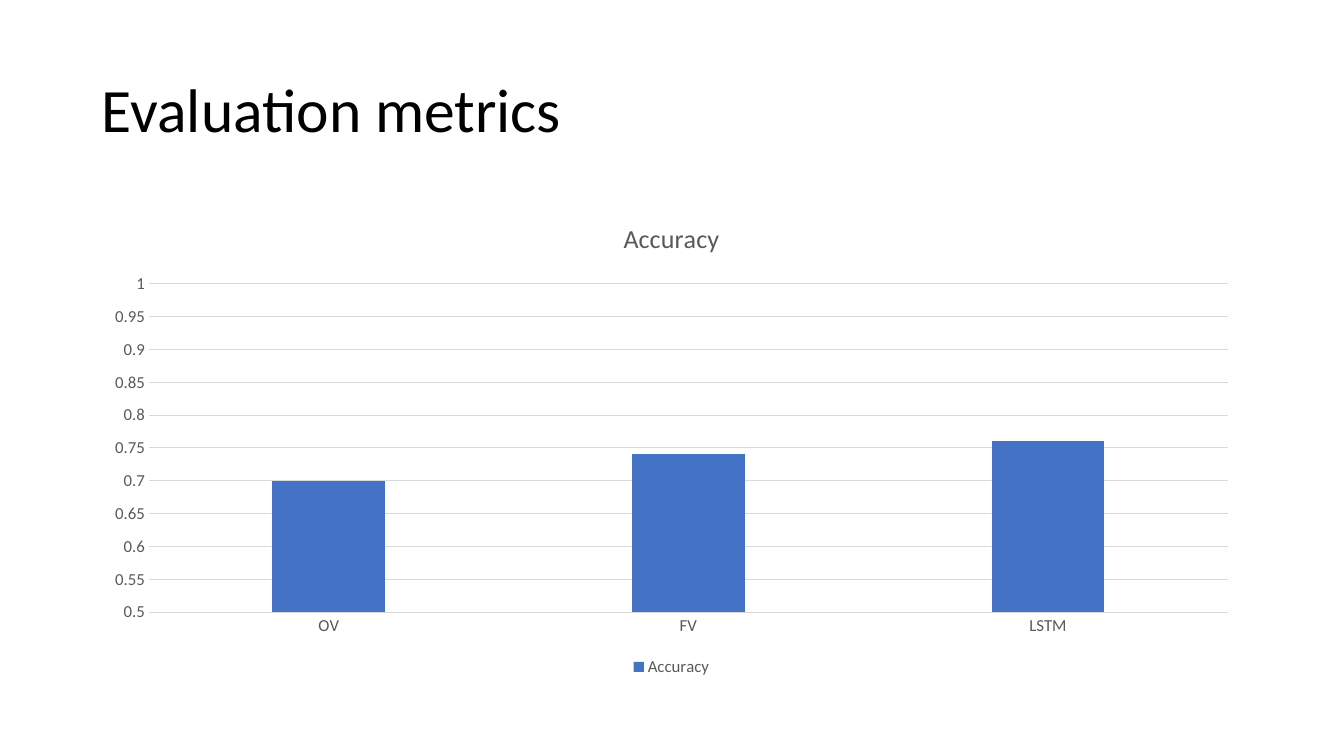
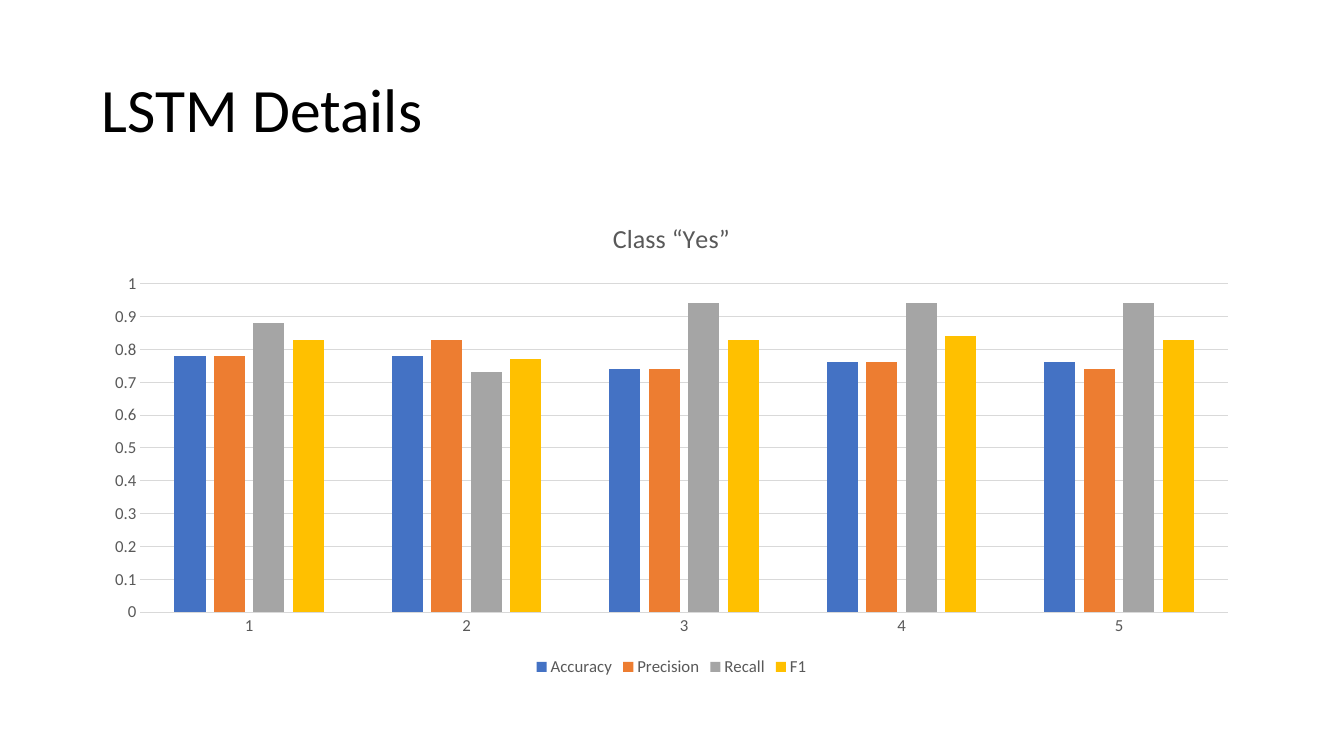
import pptx
import pptx.chart.data
import pptx.dml.color
import pptx.enum.chart
import pptx.enum.text
import pptx.util

RGBColor = pptx.dml.color.RGBColor

# Content
SLIDES = [
    {
        "heading": "Evaluation metrics",
        "caption": "Accuracy",
        "groups": ["OV", "FV", "LSTM"],
        "scores": {"Accuracy": (0.7, 0.74, 0.76)},
        "scale": {"minimum_scale": 0.5, "maximum_scale": 1, "major_unit": 0.05},
    },
    {
        "heading": "LSTM Details",
        "caption": "Class “Yes”",
        "groups": ["1", "2", "3", "4", "5"],
        "scores": {
            "Accuracy": (0.78, 0.78, 0.74, 0.76, 0.76),
            "Precision": (0.78, 0.83, 0.74, 0.76, 0.74),
            "Recall": (0.88, 0.73, 0.94, 0.94, 0.94),
            "F1": (0.83, 0.77, 0.83, 0.84, 0.83),
        },
        "scale": {"minimum_scale": 0, "maximum_scale": 1, "major_unit": 0.1},
    },
]

# Shared style
BLACK = RGBColor(0x00, 0x00, 0x00)
GREY_TEXT = RGBColor(0x59, 0x59, 0x59)
GRID_GREY = RGBColor(0xD9, 0xD9, 0xD9)
BLUE = RGBColor(0x44, 0x72, 0xC4)
ORANGE = RGBColor(0xED, 0x7D, 0x31)
SILVER = RGBColor(0xA5, 0xA5, 0xA5)
GOLD = RGBColor(0xFF, 0xC0, 0x00)
METRIC_COLORS = {"Accuracy": BLUE, "Precision": ORANGE, "Recall": SILVER, "F1": GOLD}
FONT = "Calibri"

# Lengths in pixels
PX = 914400 / 100.8
SLIDE_SIZE = (1344, 756)
HEADING_BOX = (92, 40, 1159, 146)
CHART_BOX = (92, 201, 1159, 480)


def emu(lengths):
    """Turn pixel lengths into EMU."""
    return [pptx.util.Emu(round(length * PX)) for length in lengths]


def apply(target, values):
    """Set each named attribute on the target."""
    for name, value in values.items():
        setattr(target, name, value)


def style_font(font, size, color):
    """Give a font the deck typeface, a size and a colour."""
    apply(font, {"name": FONT, "size": pptx.util.Pt(size), "bold": False})
    font.color.rgb = color


def style_line(line):
    """Make a thin grey rule."""
    line.color.rgb = GRID_GREY
    line.width = pptx.util.Pt(0.75)


def add_heading(slide, heading):
    """Place the slide heading."""
    frame = slide.shapes.add_textbox(*emu(HEADING_BOX)).text_frame
    apply(frame, {"word_wrap": True,
                  "vertical_anchor": pptx.enum.text.MSO_ANCHOR.MIDDLE})
    paragraph = frame.paragraphs[0]
    paragraph.line_spacing = 0.9
    run = paragraph.add_run()
    run.text = heading
    style_font(run.font, 44, BLACK)


def style_axes(chart, scale):
    """Format both axes and the value gridlines."""
    groups, values = chart.category_axis, chart.value_axis
    for axis in (groups, values):
        apply(axis, {"major_tick_mark": pptx.enum.chart.XL_TICK_MARK.NONE,
                     "minor_tick_mark": pptx.enum.chart.XL_TICK_MARK.NONE})
        style_font(axis.tick_labels.font, 12, GREY_TEXT)
    style_line(groups.format.line)
    values.format.line.fill.background()
    apply(values, {"has_major_gridlines": True, **scale})
    apply(values.tick_labels, {"number_format": "General",
                               "number_format_is_linked": False})
    style_line(values.major_gridlines.format.line)


def add_score_chart(slide, content):
    """Place the column chart with its caption and legend."""
    score_data = pptx.chart.data.CategoryChartData()
    score_data.categories = content["groups"]
    for metric, scores in content["scores"].items():
        score_data.add_series(metric, scores)
    chart = slide.shapes.add_chart(
        pptx.enum.chart.XL_CHART_TYPE.COLUMN_CLUSTERED,
        *emu(CHART_BOX), score_data).chart
    style_font(chart.font, 10, BLACK)

    apply(chart, {"has_title": True, "has_legend": True})
    caption = chart.chart_title.text_frame.paragraphs[0].add_run()
    caption.text = content["caption"]
    style_font(caption.font, 18.6, GREY_TEXT)
    apply(chart.legend, {
        "position": pptx.enum.chart.XL_LEGEND_POSITION.BOTTOM,
        "include_in_layout": False})
    style_font(chart.legend.font, 12, GREY_TEXT)

    style_axes(chart, content["scale"])
    plot = chart.plots[0]
    apply(plot, {"gap_width": 219, "overlap": -27, "vary_by_categories": False})
    for series in plot.series:
        series.format.fill.solid()
        series.format.fill.fore_color.rgb = METRIC_COLORS[series.name]


def build():
    """Build and save the deck."""
    deck = pptx.Presentation()
    deck.slide_width, deck.slide_height = emu(SLIDE_SIZE)
    blank = deck.slide_layouts[6]
    for content in SLIDES:
        slide = deck.slides.add_slide(blank)
        add_heading(slide, content["heading"])
        add_score_chart(slide, content)
    deck.save("out.pptx")


build()
